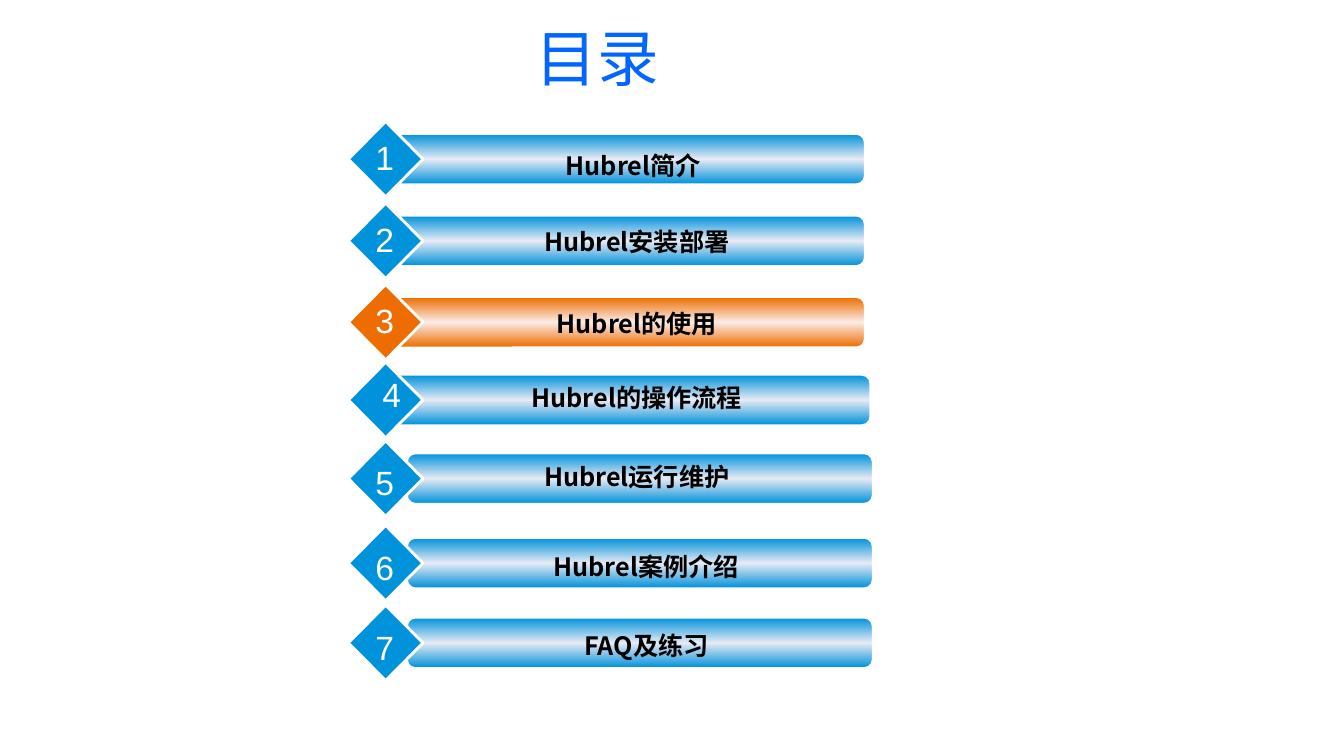
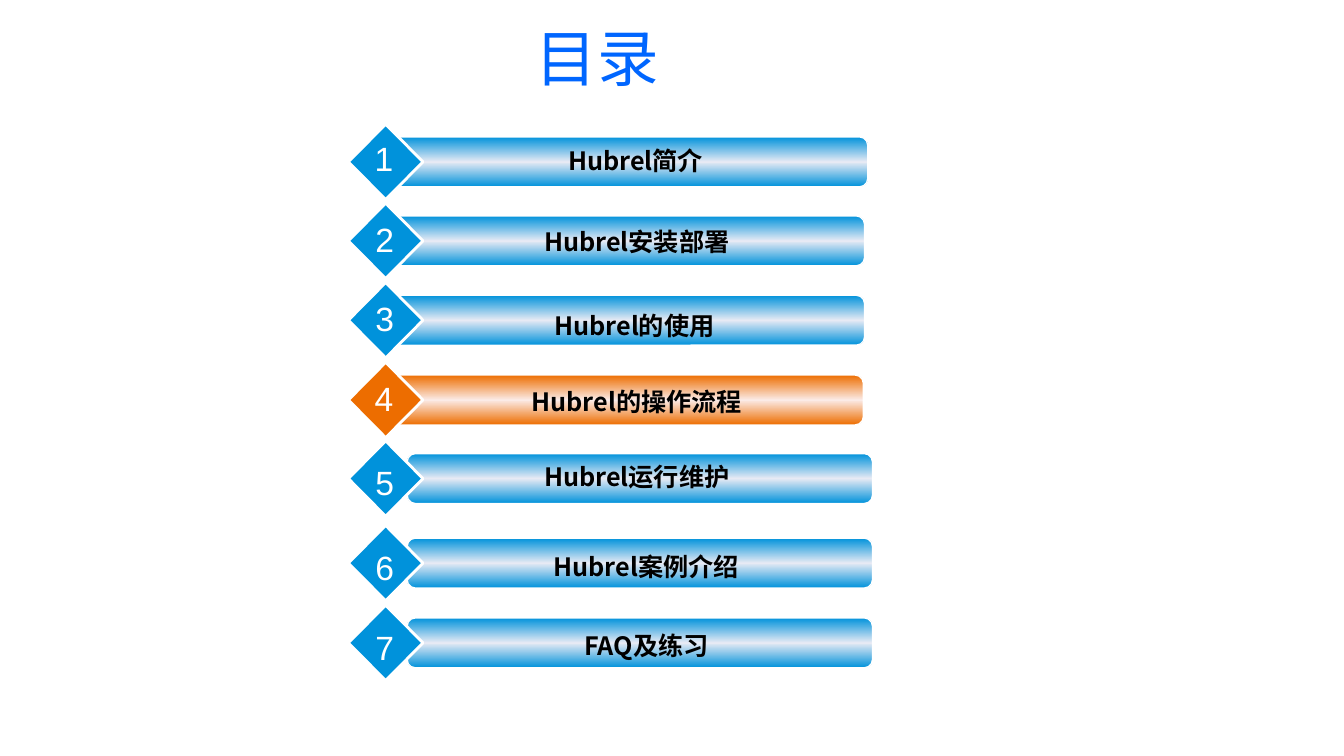
import copy
import dataclasses
import typing

import pptx
import pptx.dml.color
import pptx.enum.shapes
import pptx.enum.text
import pptx.oxml
import pptx.oxml.ns
import pptx.util

Cm = pptx.util.Cm
Pt = pptx.util.Pt
Shapes = pptx.enum.shapes.MSO_SHAPE
Align = pptx.enum.text.PP_ALIGN
AutoSize = pptx.enum.text.MSO_AUTO_SIZE


@dataclasses.dataclass(frozen=True)
class Palette:
    edge: str
    glow: str


@dataclasses.dataclass(frozen=True)
class Theme:
    normal: Palette = Palette("0092DB", "E7EAF4")
    current: Palette = Palette("ED6D00", "FBEBE7")
    title: str = "0066FF"
    label: str = "000000"
    white: str = "FFFFFF"
    chinese_font: str = "Noto Sans CJK SC"
    number_font: str = "Arial"
    title_size: int = 44
    label_size: int = 18
    number_size: int = 24


@dataclasses.dataclass(frozen=True)
class Chapter:
    number: int
    label: str
    top: float
    left: float = 9.83
    width: float = 11.96
    label_center: float = 16.05
    label_drop: float = 0.15
    number_center: float = 9.69
    number_drop: float = -0.05


THEME = Theme()
BAR_HEIGHT = 1.26
MARKER_LEFT, MARKER_WIDTH, MARKER_HEIGHT = 8.78, 1.88, 1.9
LABEL_WIDTH, LABEL_HEIGHT = 10.8, 1.02
NUMBER_WIDTH, NUMBER_HEIGHT = 0.96, 1.29
LATE_BAR = {"left": 10.26, "width": 11.73}

USAGE_CHAPTERS = [
    Chapter(1, "Hubrel简介", 3.38, label_center=15.96, label_drop=0.28),
    Chapter(2, "Hubrel安装部署", 5.44),
    Chapter(3, "Hubrel的使用", 7.49),
    Chapter(4, "Hubrel的操作流程", 9.45, 9.86, 12.07, label_drop=0.05,
            number_center=9.87, number_drop=-0.15),
    Chapter(5, "Hubrel运行维护", 11.43, label_drop=0.08, number_drop=0.08, **LATE_BAR),
    Chapter(6, "Hubrel案例介绍", 13.56, label_center=16.29, label_drop=0.2,
            number_drop=0.1, **LATE_BAR),
    Chapter(7, "FAQ及练习", 15.57, label_center=16.29, label_drop=0.2,
            number_drop=0.1, **LATE_BAR),
]

WORKFLOW_CHANGES = {
    1: {"top": 3.45, "left": 9.8, "width": 12.07, "label_center": 16.02,
        "label_drop": 0.08, "number_center": 9.67, "number_drop": -0.1},
    3: {"top": 7.44, "label_center": 15.99, "label_drop": 0.25},
    4: {"left": 9.8, "width": 11.96, "label_drop": 0.15,
        "number_center": 9.67, "number_drop": -0.05},
}
WORKFLOW_CHAPTERS = [
    dataclasses.replace(chapter, **WORKFLOW_CHANGES.get(chapter.number, {}))
    for chapter in USAGE_CHAPTERS
]


def rgb(value: str) -> pptx.dml.color.RGBColor:
    return pptx.dml.color.RGBColor.from_string(value)


def write(frame: typing.Any, text: str, size: int, font: str, color: str,
          bold: bool = False) -> None:
    frame.text = text
    paragraph = frame.paragraphs[0]
    paragraph.alignment = Align.CENTER
    run_font = paragraph.runs[0].font
    run_font.size = Pt(size)
    run_font.name = font
    run_font.bold = bold
    run_font.color.rgb = rgb(color)
    east_asian = pptx.oxml.parse_xml(
        f'<a:ea {pptx.oxml.ns.nsdecls("a")} typeface="{font}"/>')
    paragraph.runs[0]._r.rPr.find(pptx.oxml.ns.qn("a:latin")).addnext(east_asian)


def outline(shape: typing.Any, width: float) -> None:
    shape.shadow.inherit = False
    shape.line.color.rgb = rgb(THEME.white)
    shape.line.width = Pt(width)


def add_bar(row: typing.Any, chapter: Chapter, palette: Palette) -> None:
    bar = row.shapes.add_shape(Shapes.ROUNDED_RECTANGLE, Cm(chapter.left), Cm(chapter.top),
                               Cm(chapter.width), Cm(BAR_HEIGHT))
    bar.adjustments[0] = 0.167
    outline(bar, 1)
    bar.fill.gradient()
    bar.fill.gradient_angle = 90
    first_stop = bar.fill.gradient_stops[0]._gs
    first_stop.addnext(copy.deepcopy(first_stop))
    colors = (palette.edge, palette.glow, palette.edge)
    for stop, position, color in zip(bar.fill.gradient_stops, (0, 0.5, 1), colors):
        stop.position = position
        stop.color.rgb = rgb(color)


def add_marker(row: typing.Any, chapter: Chapter, palette: Palette) -> None:
    marker_top = chapter.top - (MARKER_HEIGHT - BAR_HEIGHT) / 2
    marker = row.shapes.add_shape(Shapes.DIAMOND, Cm(MARKER_LEFT), Cm(marker_top),
                                  Cm(MARKER_WIDTH), Cm(MARKER_HEIGHT))
    outline(marker, 2)
    marker.fill.solid()
    marker.fill.fore_color.rgb = rgb(palette.edge)


def add_caption(row: typing.Any, center: float, top: float, width: float,
                height: float, wrap: bool) -> typing.Any:
    caption = row.shapes.add_textbox(Cm(center - width / 2), Cm(top), Cm(width), Cm(height))
    caption.text_frame.word_wrap = wrap
    caption.text_frame.auto_size = AutoSize.SHAPE_TO_FIT_TEXT
    return caption.text_frame


def add_chapter(slide: typing.Any, chapter: Chapter, palette: Palette) -> None:
    row = slide.shapes.add_group_shape()
    add_bar(row, chapter, palette)
    add_marker(row, chapter, palette)
    label = add_caption(row, chapter.label_center, chapter.top + chapter.label_drop,
                        LABEL_WIDTH, LABEL_HEIGHT, True)
    write(label, chapter.label, THEME.label_size, THEME.chinese_font, THEME.label, True)
    number = add_caption(row, chapter.number_center, chapter.top + chapter.number_drop,
                         NUMBER_WIDTH, NUMBER_HEIGHT, False)
    write(number, str(chapter.number), THEME.number_size, THEME.number_font, THEME.white)


def add_title(slide: typing.Any, text: str) -> None:
    title = slide.shapes.title
    title.left, title.top, title.width, title.height = Cm(3.63), Cm(0.56), Cm(22.86), Cm(1.96)
    frame = title.text_frame
    write(frame, text, THEME.title_size, THEME.chinese_font, THEME.title)
    frame.auto_size = AutoSize.NONE
    frame.vertical_anchor = pptx.enum.text.MSO_ANCHOR.BOTTOM
    frame.paragraphs[0].line_spacing = 0.9


def add_contents(deck: typing.Any, chapters: list[Chapter], current: int) -> None:
    slide = deck.slides.add_slide(deck.slide_layouts.get_by_name("Title Only"))
    add_title(slide, "目录")
    for chapter in chapters:
        palette = THEME.current if chapter.number == current else THEME.normal
        add_chapter(slide, chapter, palette)


def main() -> None:
    deck = pptx.Presentation()
    deck.slide_width, deck.slide_height = Cm(33.87), Cm(19.05)
    add_contents(deck, USAGE_CHAPTERS, current=3)
    add_contents(deck, WORKFLOW_CHAPTERS, current=4)
    deck.save("out.pptx")


if __name__ == "__main__":
    main()
